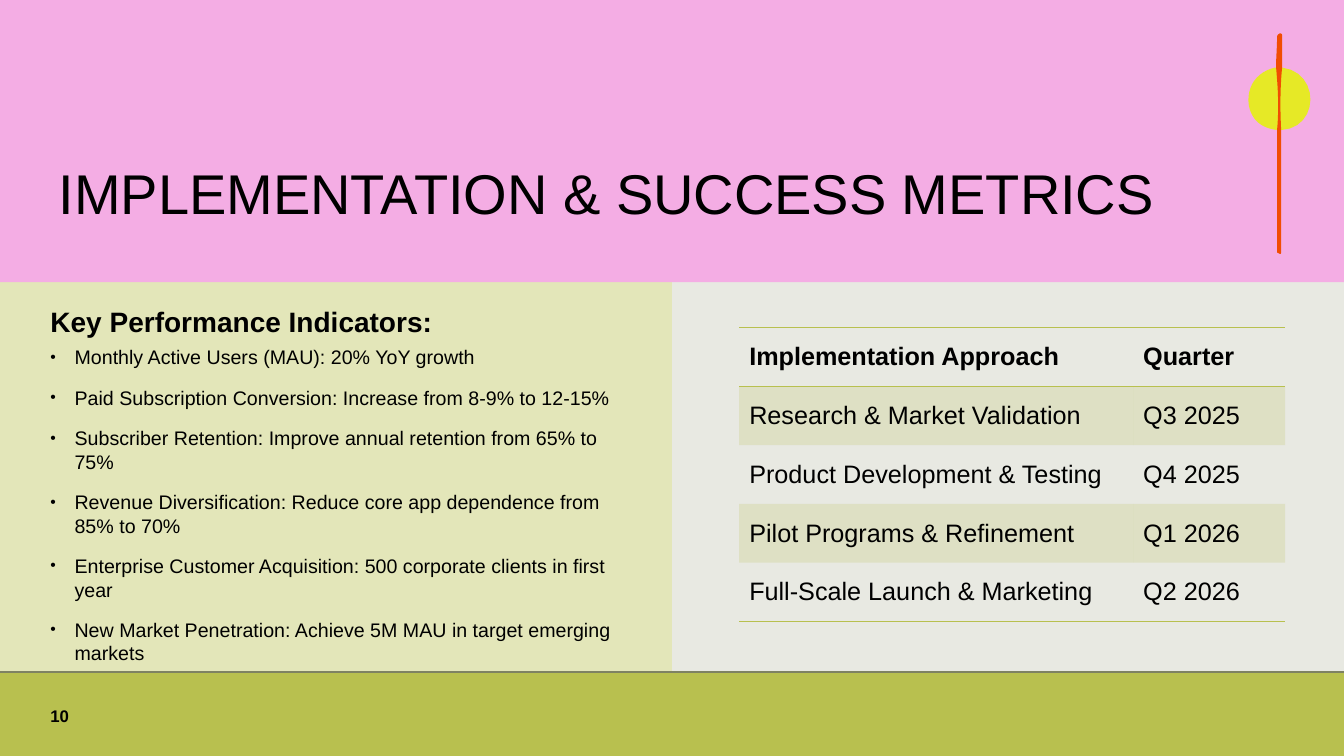
from typing import NamedTuple

from lxml.etree import SubElement
from pptx import Presentation
from pptx.dml.color import RGBColor
from pptx.enum.shapes import MSO_CONNECTOR, MSO_SHAPE
from pptx.enum.text import MSO_ANCHOR
from pptx.oxml.ns import qn
from pptx.util import Emu, Inches, Pt

COLUMNS, ROWS = 80, 45
SLIDE_WIDTH, SLIDE_HEIGHT = Inches(13.33), Inches(7.5)
FONT = "Arial"
BLACK, OLIVE, PALE_OLIVE, PINK = "000000", "B8C04F", "E3E6B9", "F4ADE4"
MIST, RULE, YELLOW, ORANGE = "E8E9E2", "7E8263", "E6E926", "F14D02"
NO_STYLE = "{2D5ABB26-0587-4C30-8999-92F81FD0307C}"
CURVE_STEPS = 12


class Area(NamedTuple):
    """A rectangle in grid columns and rows."""
    left: float
    top: float
    width: float
    height: float


class Paragraph(NamedTuple):
    text: str
    size: float
    bold: bool = False
    spacing: dict = {}
    indent: float = 0
    bullet: bool = False


class TextBlock(NamedTuple):
    area: Area
    paragraphs: list
    anchor: MSO_ANCHOR = MSO_ANCHOR.BOTTOM


class Outline(NamedTuple):
    """A start point, then lines (2 numbers) and curves (6 numbers)."""
    color: str
    start: tuple
    segments: list


BANDS = {
    PALE_OLIVE: Area(0, 16.8, 40, 28.2),
    OLIVE: Area(0, 40, COLUMNS, 5),
    PINK: Area(0, 0, COLUMNS, 16.8),
}
ORNAMENT = [
    Outline(YELLOW, (76.02, 7.74), [
        (75.06, 7.62, 74.52, 7.14, 74.34, 6.3), (74.16, 5.16, 74.82, 4.26, 75.9, 4.02),
        (76.32, 4.02), (78.6, 4.32, 78.54, 7.62, 76.26, 7.74),
    ]),
    Outline(ORANGE, (75.96, 4.02), [
        (75.96, 3.42, 76.02, 2.82, 76.02, 2.22), (76.02, 2.1, 76.08, 2.04, 76.2, 1.98),
        (76.26, 1.98, 76.32, 2.04, 76.32, 2.1), (76.32, 4.02),
        (76.2, 5.22, 76.2, 6.48, 76.26, 7.68), (76.26, 15),
        (76.26, 15.06, 76.26, 15.12, 76.2, 15.12), (76.08, 15.06),
        (76.02, 15.06, 76.02, 15, 76.02, 14.94), (76.02, 7.74),
        (76.14, 6.48, 76.08, 5.28, 75.96, 4.02),
    ]),
]
INDICATORS = [
    "Monthly Active Users (MAU): 20% YoY growth",
    "Paid Subscription Conversion: Increase from 8-9% to 12-15%",
    "Subscriber Retention: Improve annual retention from 65% to 75%",
    "Revenue Diversification: Reduce core app dependence from 85% to 70%",
    "Enterprise Customer Acquisition: 500 corporate clients in first year",
    "New Market Penetration: Achieve 5M MAU in target emerging markets",
]
TITLE_SPACING = {"line_spacing": 0.9}
HEADING_SPACING = {"line_spacing": 0.7, "space_before": Pt(18)}
INDICATOR_SPACING = {"line_spacing": 1.0, "space_before": Pt(6), "space_after": Pt(6)}
TEXT_BLOCKS = [
    TextBlock(Area(3.5, 2.7, 69.1, 10.8), [
        Paragraph("IMPLEMENTATION & SUCCESS METRICS", 40, spacing=TITLE_SPACING)]),
    TextBlock(Area(3, 18.66, 34.6, 17.5), [
        Paragraph("Key Performance Indicators:", 20, True, HEADING_SPACING, 0.38),
        *(Paragraph(text, 14, False, INDICATOR_SPACING, 0.24, True) for text in INDICATORS),
    ], MSO_ANCHOR.TOP),
    TextBlock(Area(3, 41.4, 4.2, 1.8), [Paragraph("10", 12, True)]),
]
SCHEDULE = [
    ("Implementation Approach", "Quarter"),
    ("Research & Market Validation", "Q3 2025"),
    ("Product Development & Testing", "Q4 2025"),
    ("Pilot Programs & Refinement", "Q1 2026"),
    ("Full-Scale Launch & Marketing", "Q2 2026"),
]
SCHEDULE_AREA = Area(44, 19.5, 32.5, 17.5)
SCHEDULE_COLUMNS = (23.45, 9.05)
SCHEDULE_BORDERS = {0: ("lnT", "lnB"), len(SCHEDULE) - 1: ("lnB",)}


def across(columns: float) -> Emu:
    return Emu(round(columns * SLIDE_WIDTH / COLUMNS))


def down(rows: float) -> Emu:
    return Emu(round(rows * SLIDE_HEIGHT / ROWS))


def frame(area: Area) -> tuple:
    return across(area.left), down(area.top), across(area.width), down(area.height)


def fill_solid(fill, color: str) -> None:
    fill.solid()
    fill.fore_color.rgb = RGBColor.from_string(color)


def paint(shape, color: str) -> None:
    shape.shadow.inherit = False
    fill_solid(shape.fill, color)
    shape.line.fill.background()


def write(line, text: str, size: float, bold: bool) -> None:
    run = line.add_run()
    run.text = text
    for name, value in {"name": FONT, "size": Pt(size), "bold": bold}.items():
        setattr(run.font, name, value)
    fill_solid(run.font.fill, BLACK)


def draw_rule(slide, row: float) -> None:
    rule = slide.shapes.add_connector(
        MSO_CONNECTOR.STRAIGHT, 0, down(row), across(COLUMNS), down(row))
    fill_solid(rule.line.fill, RULE)
    rule.line.width = Pt(1)
    SubElement(rule._element.spPr, qn("a:effectLst"))


def curve(start: tuple, controls: tuple) -> list:
    """Points along a cubic Bezier curve, without its start."""
    axes = ((start[0], *controls[::2]), (start[1], *controls[1::2]))
    shares = [step / CURVE_STEPS for step in range(1, CURVE_STEPS + 1)]
    return [tuple((1 - t) ** 3 * a + 3 * t * (1 - t) ** 2 * b + 3 * t * t * (1 - t) * c
                  + t ** 3 * d for a, b, c, d in axes) for t in shares]


def draw_outline(slide, outline: Outline) -> None:
    points = [outline.start]
    for segment in outline.segments:
        points += [segment] if len(segment) == 2 else curve(points[-1], segment)
    corners = [(across(x), down(y)) for x, y in points]
    builder = slide.shapes.build_freeform(*corners[0])
    builder.add_line_segments(corners[1:], close=True)
    paint(builder.convert_to_shape(), outline.color)


def draw_text(slide, block: TextBlock) -> None:
    text_frame = slide.shapes.add_textbox(*frame(block.area)).text_frame
    margins = {f"margin_{side}": 0 for side in ("left", "top", "right", "bottom")}
    for name, value in {"word_wrap": True, "vertical_anchor": block.anchor, **margins}.items():
        setattr(text_frame, name, value)
    for index, paragraph in enumerate(block.paragraphs):
        line = text_frame.add_paragraph() if index else text_frame.paragraphs[0]
        for name, value in paragraph.spacing.items():
            setattr(line, name, value)
        properties = line._p.get_or_add_pPr()
        properties.set("marL", str(Inches(paragraph.indent)))
        properties.set("indent", str(-Inches(paragraph.indent)))
        if paragraph.bullet:
            SubElement(SubElement(properties, qn("a:buClr")), qn("a:srgbClr"), val=BLACK)
            SubElement(properties, qn("a:buSzPct"), val="80000")
            SubElement(properties, qn("a:buFont"), typeface=FONT)
            SubElement(properties, qn("a:buChar"), char="•")
        write(line, paragraph.text, paragraph.size, paragraph.bold)


def format_cell(cell, row: int) -> None:
    """Border the header and last row, and tint every second row."""
    properties = cell._tc.get_or_add_tcPr()
    for side in SCHEDULE_BORDERS.get(row, ()):
        border = SubElement(properties, qn(f"a:{side}"), w=str(Pt(1)))
        SubElement(SubElement(border, qn("a:solidFill")), qn("a:srgbClr"), val=OLIVE)
    cell.fill.background()
    if row % 2:
        fill_solid(cell.fill, OLIVE)
        tint = properties.find(f"{qn('a:solidFill')}/{qn('a:srgbClr')}")
        SubElement(tint, qn("a:alpha"), val="20000")


def draw_schedule(slide) -> None:
    table = slide.shapes.add_table(
        len(SCHEDULE), len(SCHEDULE_COLUMNS), *frame(SCHEDULE_AREA)).table
    table._tbl.tblPr.find(qn("a:tableStyleId")).text = NO_STYLE
    for column, width in zip(table.columns, SCHEDULE_COLUMNS):
        column.width = across(width)
    for row, texts in enumerate(SCHEDULE):
        for column, text in enumerate(texts):
            cell = table.cell(row, column)
            cell.vertical_anchor = MSO_ANCHOR.MIDDLE
            write(cell.text_frame.paragraphs[0], text, 18, row == 0)
            format_cell(cell, row)


def main() -> None:
    deck = Presentation()
    deck.slide_width, deck.slide_height = SLIDE_WIDTH, SLIDE_HEIGHT
    slide = deck.slides.add_slide(deck.slide_layouts[6])
    fill_solid(slide.background.fill, MIST)
    for color, area in BANDS.items():
        paint(slide.shapes.add_shape(MSO_SHAPE.RECTANGLE, *frame(area)), color)
    draw_rule(slide, 40)
    for outline in ORNAMENT:
        draw_outline(slide, outline)
    for block in TEXT_BLOCKS:
        draw_text(slide, block)
    draw_schedule(slide)
    deck.save("out.pptx")


if __name__ == "__main__":
    main()
